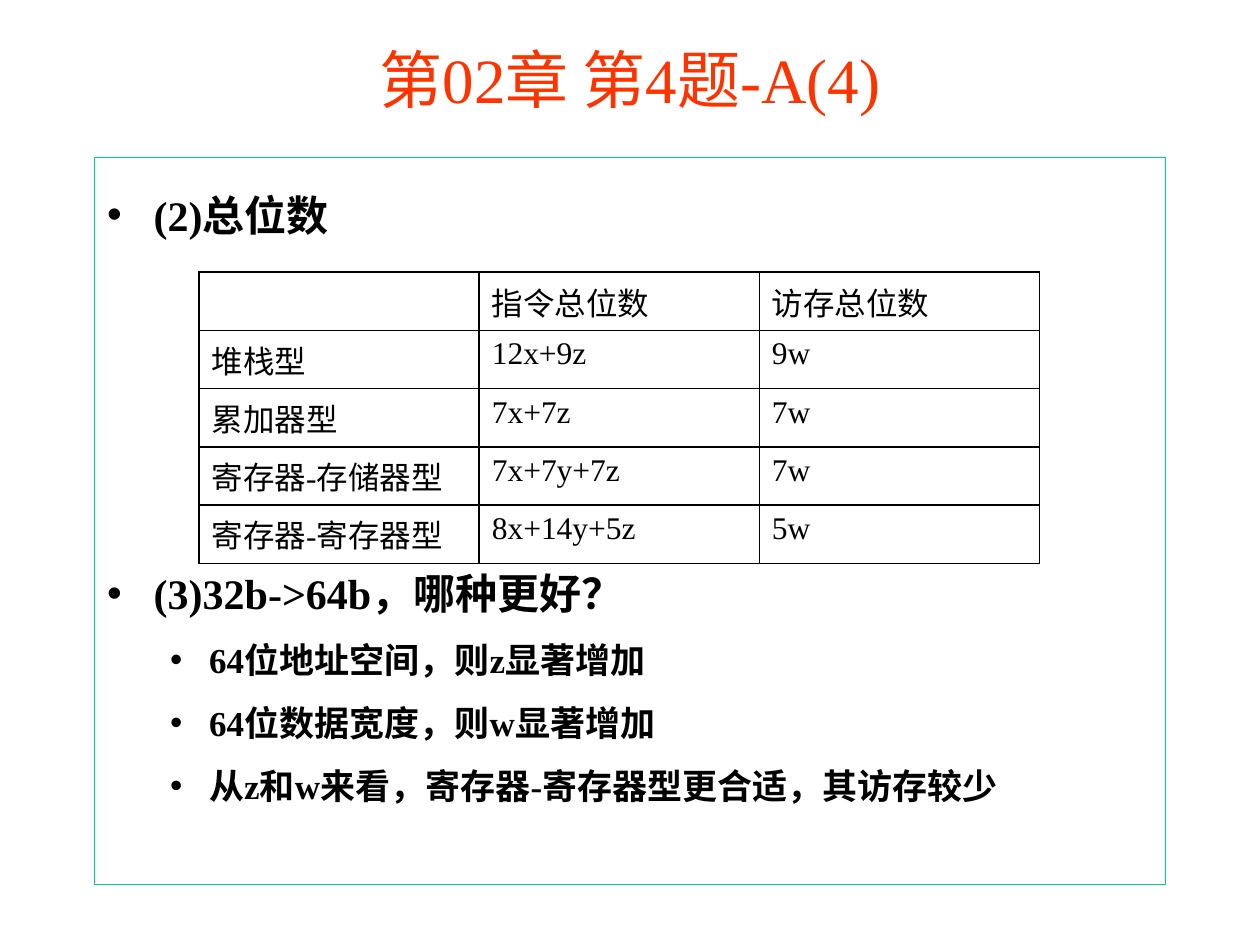
from lxml.etree import SubElement
from pptx import Presentation
from pptx.dml.color import RGBColor
from pptx.enum.text import MSO_ANCHOR, MSO_AUTO_SIZE, PP_ALIGN
from pptx.oxml.ns import qn
from pptx.util import Inches, Pt

TITLE = "第02章 第4题-A(4)"
POINTS = [
    (0, "(2)总位数", 0),
    (0, "(3)32b->64b，哪种更好？", 173),
    (1, "64位地址空间，则z显著增加", 0),
    (1, "64位数据宽度，则w显著增加", 0),
    (1, "从z和w来看，寄存器-寄存器型更合适，其访存较少", 0),
]
BIT_COUNTS = [
    ("", "指令总位数", "访存总位数"),
    ("堆栈型", "12x+9z", "9w"),
    ("累加器型", "7x+7z", "7w"),
    ("寄存器-存储器型", "7x+7y+7z", "7w"),
    ("寄存器-寄存器型", "8x+14y+5z", "5w"),
]


def color(value):
    return RGBColor.from_string(value)


class SlideBuilder:
    """Holds the style and the current slide, and adds each kind of element."""

    font = "Times New Roman"
    ink = "000000"
    accent = "FF3300"
    frame = "00CC99"
    level_sizes = (24, 20)
    level_indents = ((0.37, -0.37), (0.81, -0.31))

    def __init__(self, deck):
        self.page = deck.slides.add_slide(deck.slide_layouts[1])

    def place(self, shape, left, top, width, height):
        shape.left, shape.top = Inches(left), Inches(top)
        shape.width, shape.height = Inches(width), Inches(height)

    def add_run(self, para, text, size, ink, bold=False):
        span = para.add_run()
        span.text = text
        span.font.name = self.font
        span.font.size = Pt(size)
        span.font.bold = bold
        span.font.color.rgb = color(ink)

    def add_title(self, text, *bounds):
        box = self.page.shapes.title
        self.place(box, *bounds)
        box.text_frame.auto_size = MSO_AUTO_SIZE.NONE
        box.text_frame.vertical_anchor = MSO_ANCHOR.MIDDLE
        para = box.text_frame.paragraphs[0]
        para.alignment = PP_ALIGN.CENTER
        self.add_run(para, text, 36, self.accent)

    def add_bullets(self, points, *bounds):
        box = self.page.placeholders[1]
        self.place(box, *bounds)
        box.line.color.rgb = color(self.frame)
        box.line.width = Pt(0.75)
        text_frame = box.text_frame
        text_frame.auto_size = MSO_AUTO_SIZE.NONE
        for index, (level, text, gap) in enumerate(points):
            para = text_frame.add_paragraph() if index else text_frame.paragraphs[0]
            para.level = level
            para.line_spacing = 1.5
            para.space_before = Pt(gap)
            margin, indent = self.level_indents[level]
            properties = para._p.get_or_add_pPr()
            properties.set("marL", str(Inches(margin)))
            properties.set("indent", str(Inches(indent)))
            SubElement(properties, qn("a:buChar"), char="•")
            self.add_run(para, text, self.level_sizes[level], self.ink, bold=True)

    def add_borders(self, cell):
        properties = cell._tc.get_or_add_tcPr()
        for side in ("lnL", "lnR", "lnT", "lnB"):
            line = SubElement(properties, qn(f"a:{side}"), w=str(Pt(1)))
            fill = SubElement(line, qn("a:solidFill"))
            SubElement(fill, qn("a:srgbClr"), val=self.ink)

    def add_table(self, rows, left, top, width, height):
        table = self.page.shapes.add_table(
            len(rows), len(rows[0]),
            Inches(left), Inches(top), Inches(width), Inches(height),
        ).table
        table.first_row = False
        table.horz_banding = False
        for row, texts in enumerate(rows):
            for column, text in enumerate(texts):
                cell = table.cell(row, column)
                self.add_borders(cell)
                cell.fill.background()
                if text:
                    self.add_run(cell.text_frame.paragraphs[0], text, 18, self.ink)


def main():
    deck = Presentation()
    deck.slide_width, deck.slide_height = Inches(10), Inches(7.5)
    builder = SlideBuilder(deck)
    builder.add_title(TITLE, 0.75, 0, 8.5, 1.25)
    builder.add_bullets(POINTS, 0.75, 1.25, 8.5, 5.77)
    builder.add_table(BIT_COUNTS, 1.58, 2.16, 6.67, 2.03)
    deck.save("out.pptx")


if __name__ == "__main__":
    main()
